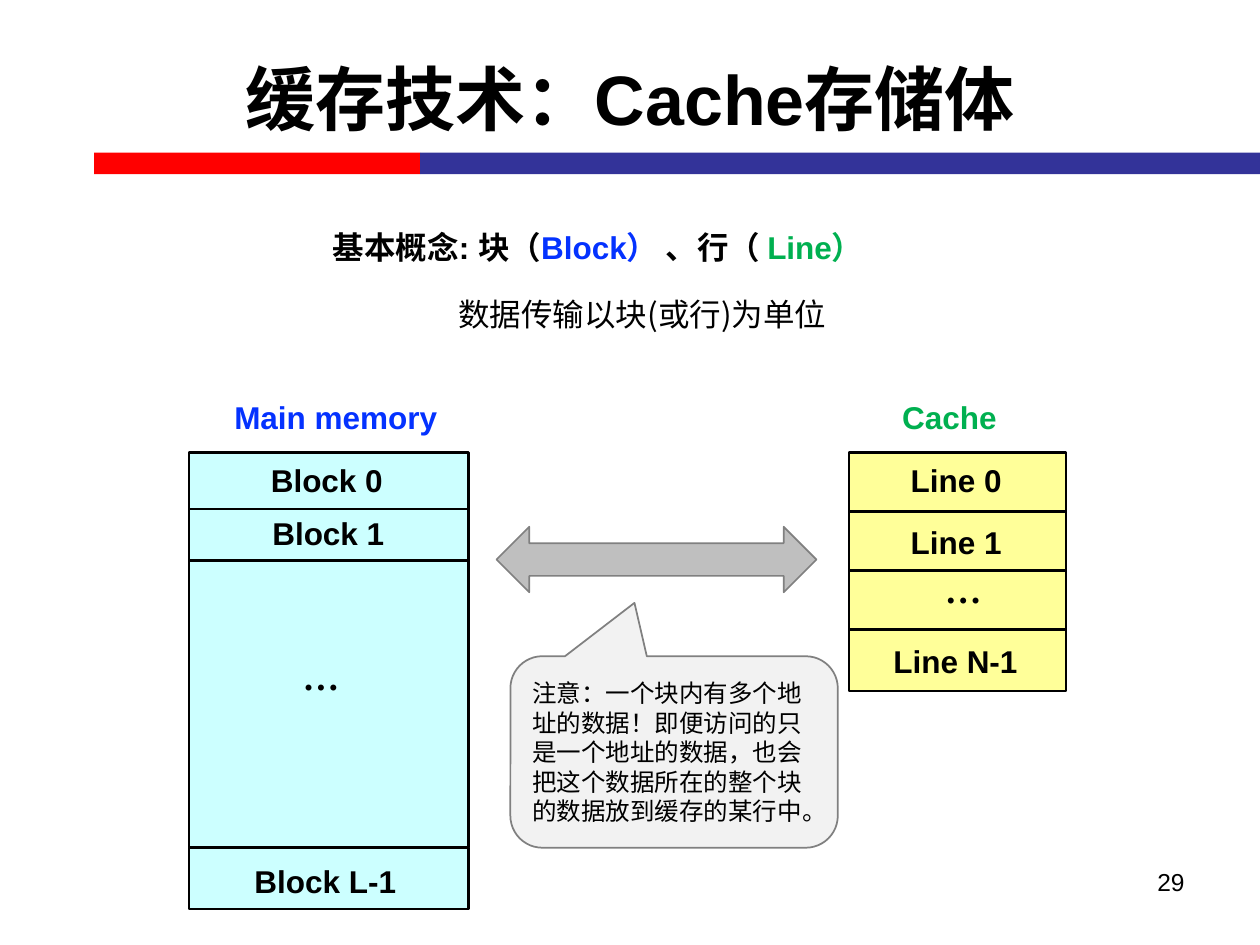
from pptx import Presentation
from pptx.dml.color import RGBColor as Rgb
from pptx.enum.shapes import MSO_SHAPE as Kind
from pptx.enum.text import MSO_ANCHOR as Anchor, PP_ALIGN as Align
from pptx.util import Cm, Pt

INK = {
    "black": "000000", "red": "FF0000", "navy": "333399", "blue": "0432FF",
    "green": "00B050", "cyan": "CCFFFF", "yellow": "FFFF99",
    "pale": "F2F2F2", "silver": "BFBFBF", "gray": "808080",
}
CELL_LINE = 1.38


def color(name):
    return Rgb.from_string(INK[name])


def style(para, size, ink="black", bold=False, face="Arial", align=Align.LEFT):
    para.alignment = align
    font = para.font
    font.size, font.bold, font.name = Pt(size), bold, face
    font.color.rgb = color(ink)


def add_box(slide, kind, box, fill, line=None, width=1):
    shape = slide.shapes.add_shape(kind, *map(Cm, box))
    shape.shadow.inherit = False
    shape.fill.solid()
    shape.fill.fore_color.rgb = color(fill)
    if line:
        shape.line.color.rgb = color(line)
        shape.line.width = Pt(width)
    else:
        shape.line.fill.background()
    return shape


def add_text(slide, box, text, size=18, **look):
    frame = slide.shapes.add_textbox(*map(Cm, box)).text_frame
    frame.word_wrap = True
    para = frame.paragraphs[0]
    para.text = text
    style(para, size, **look)
    return frame


def add_label(slide, left, top, width, text):
    dots = text == "…"
    size, face, high = (21, "Times New Roman", 0.89) if dots else (18, "Arial", 0.76)
    frame = add_text(slide, (left, top, width, high), text, size, bold=True, face=face)
    frame.word_wrap = False
    frame.margin_left = frame.margin_right = 0
    frame.margin_top = frame.margin_bottom = 0


def add_stack(slide, left, width, fill, rows, labels):
    for top, high in rows:
        add_box(slide, Kind.RECTANGLE, (left, top, width, high), fill, "black", CELL_LINE)
    for label in labels:
        add_label(slide, *label)


def add_title(slide, text):
    title = slide.shapes.title
    title.left, title.top, title.width, title.height = map(Cm, (1.27, 0.38, 22.86, 3.18))
    frame = title.text_frame
    frame.text = text
    frame.vertical_anchor = Anchor.MIDDLE
    style(frame.paragraphs[0], 40, bold=True, align=Align.CENTER)


def add_topic(slide):
    frame = add_text(slide, (5, 4.47, 14.12, 1.02), "", bold=True, align=Align.CENTER)
    parts = [("基本概念: 块（", "black"), ("Block） ", "blue"),
             ("、行（ ", "black"), ("Line）", "green")]
    for text, ink in parts:
        run = frame.paragraphs[0].add_run()
        run.text = text
        run.font.color.rgb = color(ink)


def add_note(slide, text):
    note = add_box(slide, Kind.ROUNDED_RECTANGULAR_CALLOUT,
                   (10.29, 13.23, 6.6, 3.86), "pale", "gray")
    for index, value in enumerate((-0.121, -0.779, 0.167)):
        note.adjustments[index] = value
    frame = note.text_frame
    frame.text = text
    frame.word_wrap = True
    frame.vertical_anchor = Anchor.MIDDLE
    style(frame.paragraphs[0], 14)


def main():
    deck = Presentation()
    deck.slide_width, deck.slide_height = Cm(25.4), Cm(19.05)
    slide = deck.slides.add_slide(deck.slide_layouts[5])

    add_box(slide, Kind.RECTANGLE, (1.9, 3.08, 6.57, 0.43), "red")
    add_box(slide, Kind.RECTANGLE, (8.47, 3.08, 16.93, 0.43), "navy")
    add_title(slide, "缓存技术：Cache存储体")
    add_topic(slide)
    add_text(slide, (5.89, 5.82, 14.12, 1.02), "数据传输以块(或行)为单位",
             face="Noto Sans CJK SC", align=Align.CENTER)
    for left, text, ink in ((3.1, "Main memory", "blue"), (15.47, "Cache", "green")):
        add_text(slide, (left, 7.9, 7.34, 1.02), text,
                 ink=ink, bold=True, align=Align.CENTER)

    blocks = [(9.12, 1.19), (10.26, 1.09), (11.3, 5.79), (17.09, 1.24)]
    add_stack(slide, 3.81, 5.64, "cyan", blocks, [
        (5.46, 9.3, 2.29, "Block 0"), (5.49, 10.36, 2.29, "Block 1"),
        (6.1, 13.18, 0.74, "…"), (5.13, 17.37, 2.9, "Block L-1")])
    lines = [(9.12 + 1.19 * row, 1.24) for row in range(4)]
    add_stack(slide, 17.12, 4.37, "yellow", lines, [
        (18.36, 9.3, 1.85, "Line 0"), (18.36, 10.54, 1.85, "Line 1"),
        (19.05, 11.43, 0.74, "…"), (18.01, 12.95, 2.54, "Line N-1")])

    add_note(slide, "注意：一个块内有多个地址的数据！即便访问的只是一个地址的数据，"
                    "也会把这个数据所在的整个块的数据放到缓存的某行中。")
    add_box(slide, Kind.LEFT_RIGHT_ARROW, (10.01, 10.62, 6.45, 1.32), "silver", "gray")
    add_text(slide, (18.21, 17.35, 5.92, 1.32), "29", 14, align=Align.RIGHT)
    deck.save("out.pptx")


if __name__ == "__main__":
    main()
